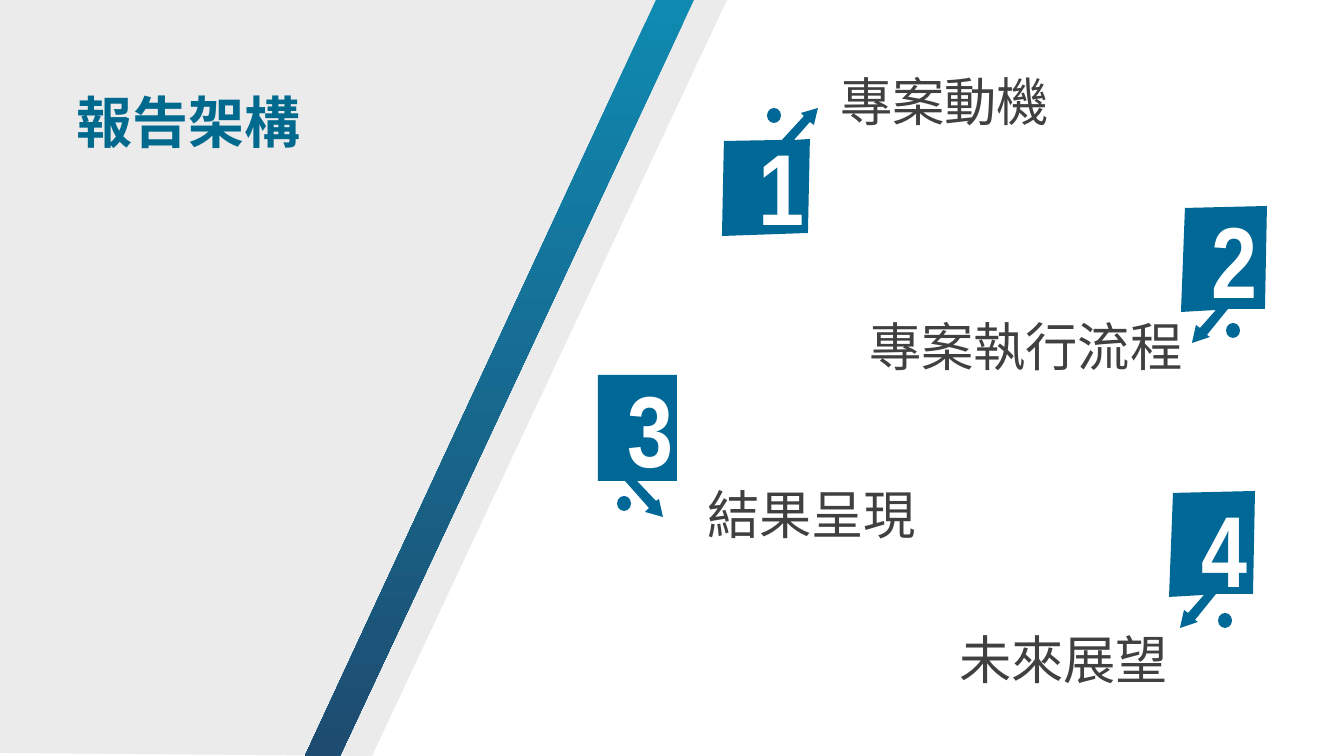
from pptx import Presentation
from pptx.dml.color import RGBColor
from pptx.enum.shapes import MSO_SHAPE
from pptx.enum.text import MSO_ANCHOR, PP_ALIGN
from pptx.util import Pt

PX = 914400 / 134.4
WIDTH, HEIGHT = 1344, 756

PANEL_GREY = RGBColor(0xEB, 0xEB, 0xEB)
STRIPE_TOP = RGBColor(0x0F, 0x8A, 0xB1)
STRIPE_BOTTOM = RGBColor(0x1E, 0x4B, 0x70)
TITLE_BLUE = RGBColor(0x00, 0x69, 0x8E)
CARD_BLUE = RGBColor(0x00, 0x68, 0x96)
TEXT_GREY = RGBColor(0x40, 0x40, 0x40)
WHITE = RGBColor(0xFF, 0xFF, 0xFF)

TITLE = "報告架構"
TITLE_BOX = (63, 81, 356, 137)
PANEL = [(0, 0), (0, 753), (372, 756), (727, 0)]
STRIPE = [(656, 0), (694, 0), (340, 756), (305, 756)]

CARD_UP = [(818, 108), (814, 125), (810, 122), (794, 140), (810, 139), (808, 233),
           (722, 236), (724, 141), (782, 140), (804, 116), (801, 113)]
CARD_DOWN_LEFT = [(1185, 208), (1267, 206), (1265, 309), (1228, 309), (1207, 335), (1210, 337),
                  (1192, 343), (1196, 325), (1200, 328), (1216, 310), (1181, 312)]
CARD_DOWN_RIGHT = [(598, 375), (677, 375), (677, 481), (637, 481), (656, 501), (659, 499),
                   (663, 517), (645, 512), (649, 508), (625, 481), (598, 481)]
CARD_LAST = [(x - 12, y + 285) for x, y in CARD_DOWN_LEFT]

DIGIT_SIZE = (46, 136)
DOT_SIZE = (14, 15)
LABEL_HEIGHT = 73
SECTIONS = [
    {"label": "專案動機", "outline": CARD_UP, "digit": (745, 118), "dot": (767, 108), "text": (827, 63, 250)},
    {"label": "專案執行流程", "outline": CARD_DOWN_LEFT, "digit": (1198, 191), "dot": (1226, 323),
     "text": (856, 308, 343)},
    {"label": "結果呈現", "outline": CARD_DOWN_RIGHT, "digit": (614, 360), "dot": (617, 496),
     "text": (694, 476, 253)},
    {"label": "未來展望", "outline": CARD_LAST, "digit": (1188, 480), "dot": (1218, 613), "text": (946, 621, 253)},
]


def emu(*lengths):
    return [round(length * PX) for length in lengths]


def paint(shape, color):
    shape.shadow.inherit = False
    shape.line.fill.background()
    shape.fill.solid()
    shape.fill.fore_color.rgb = color


def add_outline(slide, points, color):
    builder = slide.shapes.build_freeform(*points[0], scale=PX)
    builder.add_line_segments(points[1:], close=True)
    shape = builder.convert_to_shape()
    paint(shape, color)
    return shape


def write(shape, text, size, font, color, bold=False, align=PP_ALIGN.LEFT):
    frame = shape.text_frame
    frame.word_wrap = True
    frame.vertical_anchor = MSO_ANCHOR.TOP
    frame.text = text
    paragraph = frame.paragraphs[0]
    paragraph.alignment = align
    run_font = paragraph.runs[0].font
    run_font.name, run_font.size, run_font.bold = font, Pt(size), bold
    run_font.color.rgb = color


def add_section(slide, number, section):
    shapes = slide.shapes
    add_outline(slide, section["outline"], CARD_BLUE)
    dot = shapes.add_shape(MSO_SHAPE.OVAL, *emu(*section["dot"], *DOT_SIZE))
    paint(dot, CARD_BLUE)
    digit = shapes.add_textbox(*emu(*section["digit"], *DIGIT_SIZE))
    write(digit, str(number), 54, "Arial Narrow", WHITE, True, PP_ALIGN.CENTER)
    label = shapes.add_textbox(*emu(*section["text"], LABEL_HEIGHT))
    write(label, section["label"], 28, "Calibri", TEXT_GREY)


def main():
    presentation = Presentation()
    presentation.slide_width, presentation.slide_height = emu(WIDTH, HEIGHT)
    slide = presentation.slides.add_slide(presentation.slide_layouts[5])

    panel = add_outline(slide, PANEL, PANEL_GREY)
    stripe = add_outline(slide, STRIPE, STRIPE_TOP)
    stripe.fill.gradient()
    stripe.fill.gradient_angle = 270
    for stop, color, position in zip(stripe.fill.gradient_stops, (STRIPE_TOP, STRIPE_BOTTOM), (0, 1)):
        stop.color.rgb = color
        stop.position = position

    title = slide.shapes.title
    title.left, title.top, title.width, title.height = emu(*TITLE_BOX)
    write(title, TITLE, 30, "Calibri", TITLE_BLUE, True)
    stripe._element.addnext(title._element)

    for number, section in enumerate(SECTIONS, start=1):
        add_section(slide, number, section)
    presentation.save("out.pptx")


if __name__ == "__main__":
    main()
